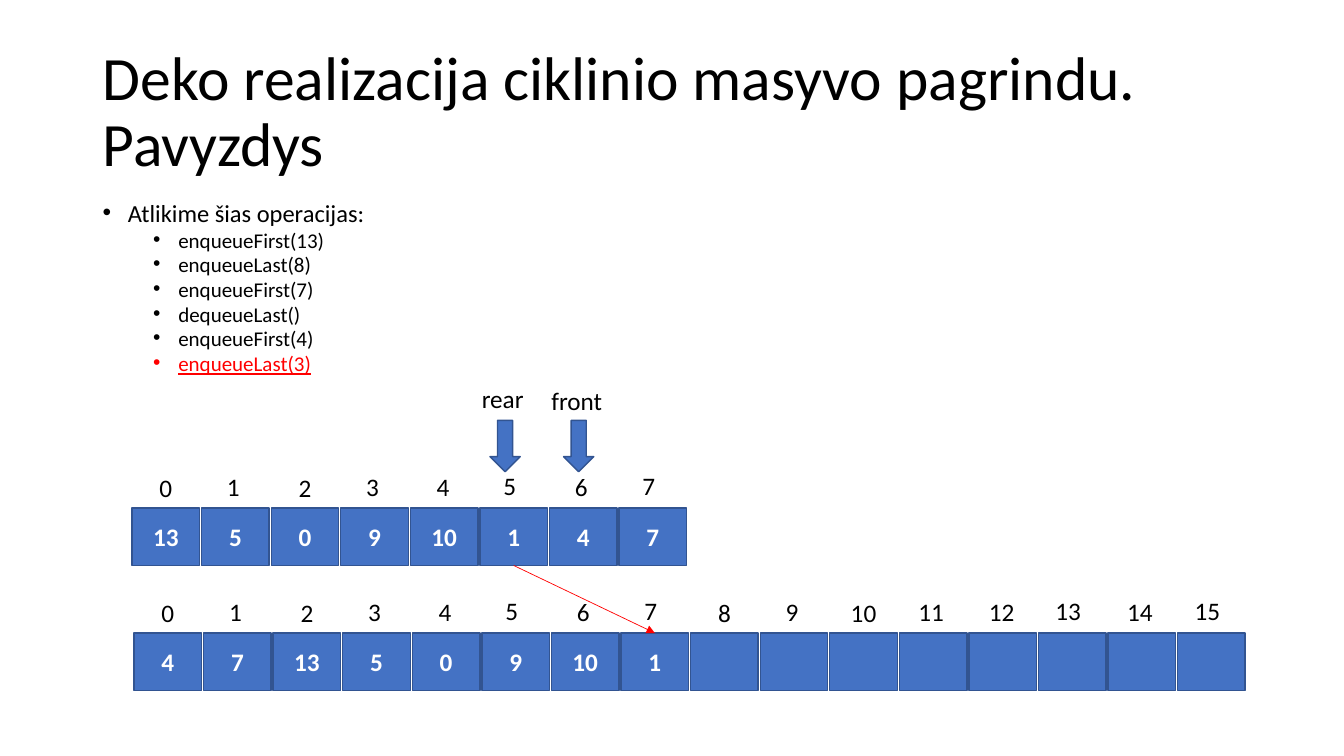
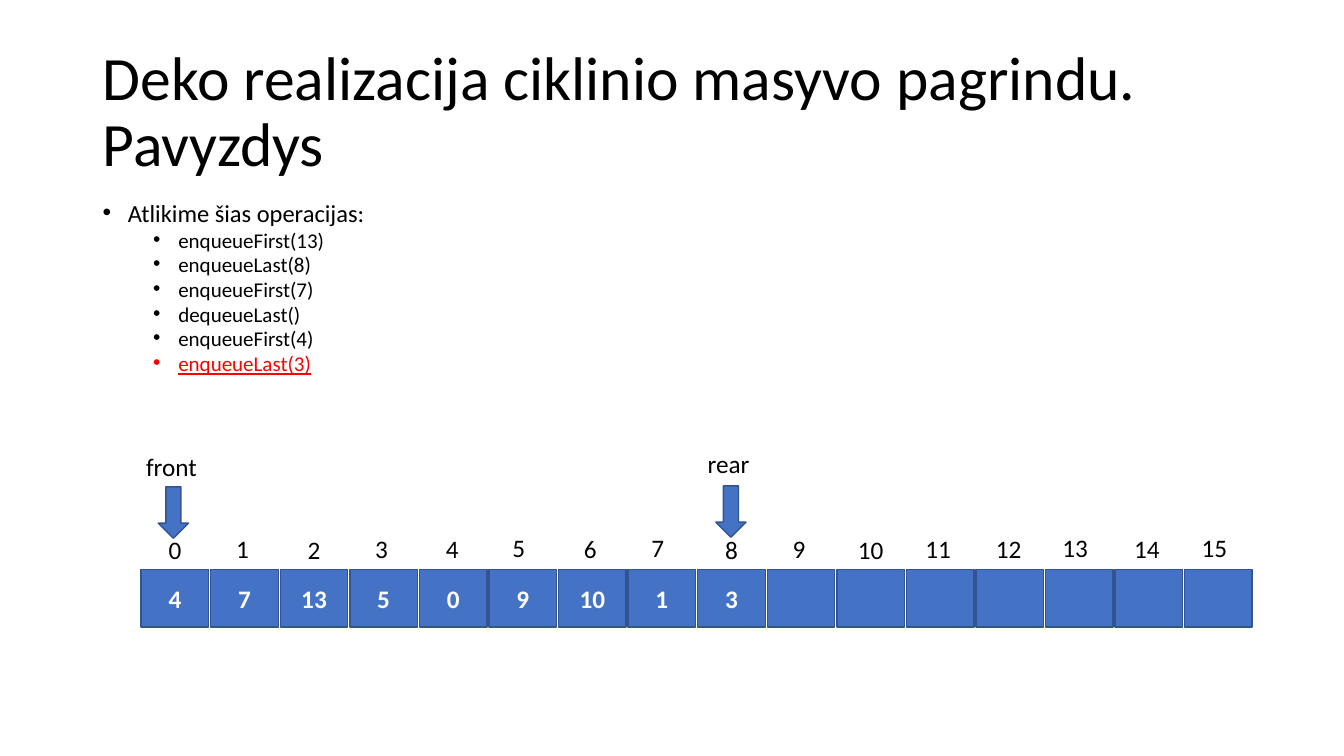
import dataclasses
import typing

import lxml.etree
import pptx
import pptx.dml.color
import pptx.enum.shapes
import pptx.enum.text
import pptx.oxml.ns
import pptx.shapes.autoshape
import pptx.slide
import pptx.text.text
import pptx.util

Inches = pptx.util.Inches
Pt = pptx.util.Pt
qn = pptx.oxml.ns.qn
Shape = pptx.shapes.autoshape.Shape
Paragraph = pptx.text.text._Paragraph
ShapeType = pptx.enum.shapes.MSO_SHAPE
Align = pptx.enum.text.PP_ALIGN
Anchor = pptx.enum.text.MSO_ANCHOR

COLORS = {
    "text": "000000",
    "cell": "4472C4",
    "border": "325491",
    "cell_text": "FFFFFF",
    "accent": "FF0000",
}
FONT = "Calibri"
TITLE = "Deko realizacija ciklinio masyvo pagrindu. Pavyzdys"
INTRO = "Atlikime šias operacijas:"
OPERATIONS = (
    "enqueueFirst(13)",
    "enqueueLast(8)",
    "enqueueFirst(7)",
    "dequeueLast()",
    "enqueueFirst(4)",
    "enqueueLast(3)",
)

CELL_WIDTH, CELL_HEIGHT, CELL_PITCH = 0.67, 0.57, 0.69
LABEL_HEIGHT = 0.4
# Shift of each index label from its cell, repeating every eight cells.
INDEX_SHIFTS = (
    (0, 0), (-0.02, -0.01), (0, 0), (-0.02, -0.01),
    (-0.01, -0.01), (-0.04, -0.02), (-0.02, -0.01), (-0.04, -0.02),
)


@dataclasses.dataclass(frozen=True)
class ArrayRow:
    left: float
    top: float
    values: tuple[int, ...]
    capacity: int


@dataclasses.dataclass(frozen=True)
class Pointer:
    name: str
    left: float
    top: float
    label_shift: tuple[float, float]


FRONT_SHIFT = (-0.22, -0.4)
REAR_SHIFT = (-0.18, -0.42)

FULL_ARRAY = ArrayRow(1.31, 5.04, (13, 5, 0, 9, 10, 1, 4, 7), 8)
GROWN_ARRAY = ArrayRow(1.33, 6.28, (4, 7, 13, 5, 0, 9, 10, 1), 16)
FINAL_ARRAY = ArrayRow(1.4, 5.65, (4, 7, 13, 5, 0, 9, 10, 1, 3), 16)

GROWING_POINTERS = (
    Pointer("front", 5.59, 4.17, FRONT_SHIFT),
    Pointer("rear", 4.86, 4.17, REAR_SHIFT),
)
FINAL_POINTERS = (
    Pointer("front", 1.57, 4.83, FRONT_SHIFT),
    Pointer("rear", 7.1, 4.82, REAR_SHIFT),
)


def rgb(name: str) -> pptx.dml.color.RGBColor:
    return pptx.dml.color.RGBColor.from_string(COLORS[name])


def format_runs(paragraph: Paragraph, size: float, color: str = "text",
                bold: bool = False, underline: bool = False) -> None:
    for run in paragraph.runs:
        run.font.name = FONT
        run.font.size = Pt(size)
        run.font.color.rgb = rgb(color)
        run.font.bold = bold
        run.font.underline = underline


def add_text(slide: pptx.slide.Slide, left: float, top: float, width: float,
             height: float, text: str, size: float) -> Shape:
    shape = slide.shapes.add_textbox(
        Inches(left), Inches(top), Inches(width), Inches(height))
    shape.text_frame.word_wrap = True
    shape.text_frame.text = text
    format_runs(shape.text_frame.paragraphs[0], size)
    return shape


def add_label(slide: pptx.slide.Slide, left: float, top: float, width: float,
              text: str, alignment: Align = Align.LEFT) -> None:
    shape = add_text(slide, left, top, width, LABEL_HEIGHT, text, 18)
    shape.text_frame.auto_size = pptx.enum.text.MSO_AUTO_SIZE.SHAPE_TO_FIT_TEXT
    shape.text_frame.paragraphs[0].alignment = alignment


def add_blue_shape(slide: pptx.slide.Slide, kind: ShapeType, left: float,
                   top: float, width: float, height: float) -> Shape:
    shape = slide.shapes.add_shape(
        kind, Inches(left), Inches(top), Inches(width), Inches(height))
    shape.shadow.inherit = False
    shape.fill.solid()
    shape.fill.fore_color.rgb = rgb("cell")
    shape.line.color.rgb = rgb("border")
    shape.line.width = Pt(1)
    return shape


def add_title(slide: pptx.slide.Slide) -> None:
    shape = add_text(slide, 0.92, 0.4, 11.5, 1.45, TITLE, 44)
    shape.text_frame.vertical_anchor = Anchor.MIDDLE
    shape.text_frame.paragraphs[0].line_spacing = 0.9


def set_bullet(paragraph: Paragraph, level: int) -> None:
    """Set the list level with its bullet, indent and spacing."""
    paragraph.level = level
    paragraph.line_spacing = 0.7
    paragraph.space_before = Pt(5 if level else 10)
    properties = paragraph._p.get_or_add_pPr()
    properties.set("marL", str(Inches(0.25 + 0.5 * level)))
    properties.set("indent", str(Inches(-0.25)))
    lxml.etree.SubElement(properties, qn("a:buFont"), typeface="Arial")
    lxml.etree.SubElement(properties, qn("a:buChar"), char="•")


def add_operations(slide: pptx.slide.Slide) -> None:
    """List the operations, with the last one marked as current."""
    shape = add_text(slide, 0.92, 2, 11.5, 1.91, INTRO, 17.5)
    set_bullet(shape.text_frame.paragraphs[0], 0)
    for operation in OPERATIONS:
        paragraph = shape.text_frame.add_paragraph()
        paragraph.text = operation
        current = operation == OPERATIONS[-1]
        format_runs(paragraph, 15, "accent" if current else "text",
                    underline=current)
        set_bullet(paragraph, 1)


def add_array(slide: pptx.slide.Slide, row: ArrayRow) -> list[Shape]:
    """Draw the cells with their indices and return the cells."""
    cells = []
    for index in range(row.capacity):
        left = row.left + index * CELL_PITCH
        cell = add_blue_shape(slide, ShapeType.RECTANGLE, left, row.top,
                              CELL_WIDTH, CELL_HEIGHT)
        if index < len(row.values):
            cell.text_frame.text = str(row.values[index])
            cell.text_frame.vertical_anchor = Anchor.MIDDLE
            paragraph = cell.text_frame.paragraphs[0]
            paragraph.alignment = Align.CENTER
            format_runs(paragraph, 18, "cell_text", bold=True)
        cells.append(cell)
        shift_x, shift_y = INDEX_SHIFTS[index % len(INDEX_SHIFTS)]
        add_label(slide, left + shift_x, row.top - LABEL_HEIGHT + shift_y,
                  CELL_WIDTH, str(index), Align.CENTER)
    return cells


def add_pointer(slide: pptx.slide.Slide, pointer: Pointer) -> None:
    add_blue_shape(slide, ShapeType.DOWN_ARROW, pointer.left, pointer.top,
                   0.3, 0.51)
    shift_x, shift_y = pointer.label_shift
    add_label(slide, pointer.left + shift_x, pointer.top + shift_y, 0.72,
              pointer.name)


def add_move_arrow(slide: pptx.slide.Slide, source: Shape,
                   target: Shape) -> None:
    connector = slide.shapes.add_connector(
        pptx.enum.shapes.MSO_CONNECTOR.STRAIGHT, 0, 0, 0, 0)
    connector.begin_connect(source, 2)
    connector.end_connect(target, 0)
    connector.line.color.rgb = rgb("accent")
    connector.line.width = Pt(0.5)
    lxml.etree.SubElement(connector.line._get_or_add_ln(), qn("a:tailEnd"),
                          type="triangle")
    lxml.etree.SubElement(connector._element.spPr, qn("a:effectLst"))


def add_example_slide(presentation: typing.Any, rows: tuple[ArrayRow, ...],
                      pointers: tuple[Pointer, ...]
                      ) -> tuple[pptx.slide.Slide, list[list[Shape]]]:
    """Add a slide and return it with the cells of each array."""
    slide = presentation.slides.add_slide(presentation.slide_layouts[6])
    add_title(slide)
    add_operations(slide)
    for pointer in pointers:
        add_pointer(slide, pointer)
    return slide, [add_array(slide, row) for row in rows]


def main() -> None:
    presentation = pptx.Presentation()
    presentation.slide_width = Inches(13.33)
    presentation.slide_height = Inches(7.5)
    slide, (full_cells, grown_cells) = add_example_slide(
        presentation, (FULL_ARRAY, GROWN_ARRAY), GROWING_POINTERS)
    add_move_arrow(slide, full_cells[5], grown_cells[7])
    add_example_slide(presentation, (FINAL_ARRAY,), FINAL_POINTERS)
    presentation.save("out.pptx")


if __name__ == "__main__":
    main()
